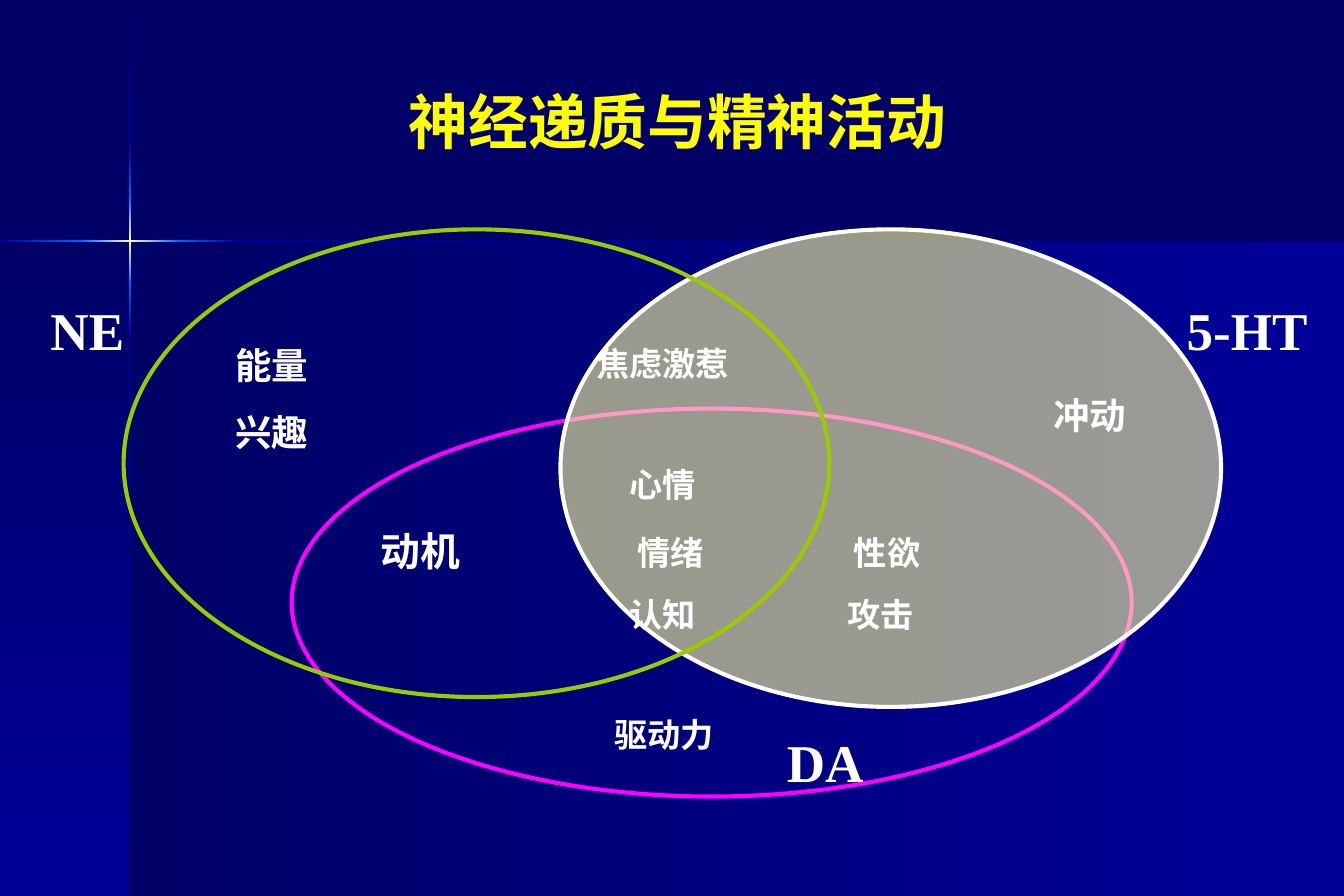
"""Build the slide on neurotransmitters and mental activity."""
from dataclasses import dataclass
from itertools import pairwise

from lxml import etree
from pptx import Presentation
from pptx.dml.color import RGBColor
from pptx.enum.shapes import MSO_SHAPE
from pptx.enum.text import MSO_ANCHOR, PP_ALIGN
from pptx.oxml.ns import qn
from pptx.util import Inches, Pt

RECTANGLE, OVAL = MSO_SHAPE.RECTANGLE, MSO_SHAPE.OVAL
MIDDLE, CENTER = MSO_ANCHOR.MIDDLE, PP_ALIGN.CENTER
WIDTH, HEIGHT = Inches(11.25), Inches(7.5)
COLORS = {
    "navy": "000066", "blue": "000099", "azure": "0066FF", "cream": "FFFFCC",
    "magenta": "FF00FF", "sand": "FFFF99", "green": "99CC00",
    "white": "FFFFFF", "yellow": "FFFF00",
}
CROSS_X, CROSS_Y = 9.69, 26.93
BEAM_X, BEAM_Y = 0.18, 0.27
RIGHTWARD, DOWNWARD = 0, 270


@dataclass(frozen=True)
class Area:
    """Rectangle in percent of the slide's width and height."""
    left: float
    top: float
    width: float
    height: float

    def emu(self) -> tuple[int, int, int, int]:
        """Return the rectangle in slide units."""
        return (int(self.left * WIDTH / 100), int(self.top * HEIGHT / 100),
                int(self.width * WIDTH / 100), int(self.height * HEIGHT / 100))


@dataclass(frozen=True)
class Stop:
    """Colour reached at a percentage along a beam."""
    at: float
    color: str


@dataclass(frozen=True)
class Region:
    """Ellipse of one neurotransmitter."""
    area: Area
    line: str
    fill: str | None = None


@dataclass(frozen=True)
class Label:
    """Text centred on a point given in percent of the slide."""
    text: str
    x: float
    y: float
    size: float = 20
    width: float = 12
    font: str = "Times New Roman"
    color: str = "white"


ROW_BEAM = [Stop(0, "blue"), Stop(6.1, "azure"), Stop(CROSS_X, "cream"),
            Stop(13.3, "azure"), Stop(17.7, "blue"), Stop(100, "navy")]
COLUMN_BEAM = [Stop(0, "navy"), Stop(16.1, "blue"), Stop(22, "azure"),
               Stop(CROSS_Y, "cream"), Stop(31.7, "azure"),
               Stop(37.6, "blue"), Stop(100, "navy")]
REGIONS = [
    Region(Area(21.7, 45.6, 62.5, 43.3), "magenta"),
    Region(Area(41.7, 25.6, 49.15, 53.3), "white", "sand"),
    Region(Area(9.2, 25.6, 52.5, 52.2), "green"),
]
LABELS = [
    Label("神经递质与精神活动", 50.4, 13.5, 36, 60, "Karla", "yellow"),
    Label("NE", 6.5, 36.8, 32),
    Label("5-HT", 92.8, 36.8, 32),
    Label("DA", 61.4, 85, 32),
    Label("能量\n兴趣", 20.2, 44.5, 22),
    Label("冲动", 81.1, 46.3, 22),
    Label("动机", 31.3, 61.4, 24),
    Label("焦虑激惹", 49.3, 40.5),
    Label("心情", 49.3, 54),
    Label("情绪", 49.9, 61.6),
    Label("性欲", 66, 61.6),
    Label("认知", 49.3, 68.5),
    Label("攻击", 65.5, 68.5),
    Label("驱动力", 49.4, 82),
]


def rgb(name: str) -> RGBColor:
    """Look up a named colour."""
    return RGBColor.from_string(COLORS[name])


def draw_panel(page, area: Area, start: str, end: str, angle: int) -> None:
    """Draw a borderless rectangle with a two-colour gradient."""
    panel = page.shapes.add_shape(RECTANGLE, *area.emu())
    panel.shadow.inherit = False
    panel.line.fill.background()
    panel.fill.gradient()
    panel.fill.gradient_angle = angle
    for stop, color in zip(panel.fill.gradient_stops, (start, end)):
        stop.color.rgb = rgb(color)


def draw_backdrop(page) -> None:
    """Draw the two gradient panels and the crossing light beams."""
    page.background.fill.solid()
    page.background.fill.fore_color.rgb = rgb("navy")
    below = 100 - CROSS_Y
    draw_panel(page, Area(CROSS_X, CROSS_Y, 100 - CROSS_X, below),
               "navy", "blue", RIGHTWARD)
    draw_panel(page, Area(0, CROSS_Y, CROSS_X, below), "navy", "blue", DOWNWARD)
    for start, end in pairwise(COLUMN_BEAM):
        area = Area(CROSS_X - BEAM_X / 2, start.at, BEAM_X, end.at - start.at)
        draw_panel(page, area, start.color, end.color, DOWNWARD)
    for start, end in pairwise(ROW_BEAM):
        area = Area(start.at, CROSS_Y - BEAM_Y / 2, end.at - start.at, BEAM_Y)
        draw_panel(page, area, start.color, end.color, RIGHTWARD)


def draw_region(page, region: Region) -> None:
    """Draw an ellipse, with a translucent fill if it has one."""
    oval = page.shapes.add_shape(OVAL, *region.area.emu())
    oval.shadow.inherit = False
    oval.line.color.rgb = rgb(region.line)
    oval.line.width = Pt(2.5)
    if region.fill is None:
        oval.fill.background()
        return
    oval.fill.solid()
    oval.fill.fore_color.rgb = rgb(region.fill)
    tint = oval.fill._xPr.find(qn("a:solidFill"))[0]
    etree.SubElement(tint, qn("a:alpha"), val="60000")


def draw_label(page, label: Label) -> None:
    """Write a label, one paragraph to a line, around its centre."""
    lines = label.text.split("\n")
    height = 8 * len(lines)
    area = Area(label.x - label.width / 2, label.y - height / 2,
                label.width, height)
    frame = page.shapes.add_textbox(*area.emu()).text_frame
    frame_format = {"word_wrap": True, "vertical_anchor": MIDDLE,
                    "margin_left": 0, "margin_right": 0,
                    "margin_top": 0, "margin_bottom": 0}
    for name, value in frame_format.items():
        setattr(frame, name, value)
    font_format = {"name": label.font, "size": Pt(label.size), "bold": True}
    for index, line in enumerate(lines):
        para = frame.add_paragraph() if index else frame.paragraphs[0]
        para.alignment = CENTER
        if index:
            para.space_before = Pt(13.8)
        span = para.add_run()
        span.text = line
        for name, value in font_format.items():
            setattr(span.font, name, value)
        span.font.color.rgb = rgb(label.color)


def main() -> None:
    """Assemble the deck and save it."""
    deck = Presentation()
    deck.slide_width, deck.slide_height = WIDTH, HEIGHT
    page = deck.slides.add_slide(deck.slide_layouts[6])
    draw_backdrop(page)
    for region in REGIONS:
        draw_region(page, region)
    for label in LABELS:
        draw_label(page, label)
    deck.save("out.pptx")


if __name__ == "__main__":
    main()
